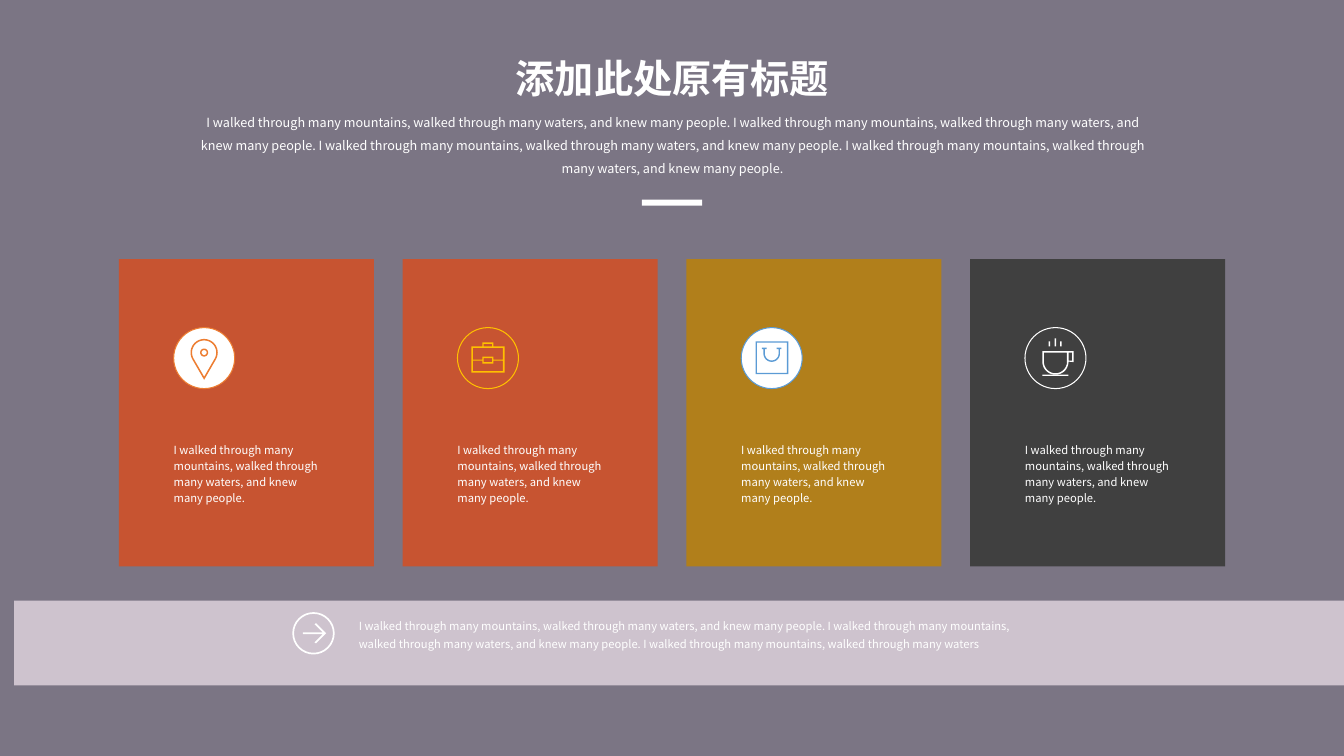
from math import cos, radians, sin

from pptx import Presentation
from pptx.dml.color import RGBColor
from pptx.enum.shapes import MSO_SHAPE
from pptx.enum.text import MSO_ANCHOR, PP_ALIGN
from pptx.util import Inches, Pt

# The slide is a grid of square cells; every length below counts cells
CELL = Inches(0.1)
COLUMNS, ROWS = 133.33, 75
FONT = "Noto Sans CJK SC"
WHITE = "FFFFFF"

SENTENCE = ("I walked through many mountains, walked through many waters, "
            "and knew many people.")
INTRO = " ".join([SENTENCE] * 4)
FOOTER = " ".join([SENTENCE] * 3).removesuffix(", and knew many people.")

CARD_LEFT, CARD_TOP, CARD_PITCH = 11.8, 25.7, 28.15
CARD_WIDTH, CARD_HEIGHT = 25.3, 30.5
CARD_PADDING = 5.43
BADGE_TOP, BADGE_SIZE = 32.5, 6.05


def cells(count):
    return round(count * CELL)


def color(code):
    return RGBColor.from_string(code)


def paint(shape, fill, line=None):
    shape.shadow.inherit = False
    if fill:
        shape.fill.solid()
        shape.fill.fore_color.rgb = color(fill)
    else:
        shape.fill.background()
    if line:
        shape.line.color.rgb = color(line)
        shape.line.width = Pt(0.75)
    else:
        shape.line.fill.background()


def add_block(slide, left, top, width, height, fill, line=None,
              kind=MSO_SHAPE.RECTANGLE):
    shape = slide.shapes.add_shape(
        kind, cells(left), cells(top), cells(width), cells(height))
    paint(shape, fill, line)


def add_text(slide, text, left, top, width, height, size, spacing,
             align=PP_ALIGN.LEFT, anchor=MSO_ANCHOR.TOP, inset=True,
             bold=False):
    box = slide.shapes.add_textbox(
        cells(left), cells(top), cells(width), cells(height))
    frame = box.text_frame
    frame.word_wrap = True
    frame.vertical_anchor = anchor
    if not inset:
        frame.margin_left = frame.margin_right = 0
        frame.margin_top = frame.margin_bottom = 0
    paragraph = frame.paragraphs[0]
    paragraph.alignment = align
    paragraph.line_spacing = spacing
    run = paragraph.add_run()
    run.text = text
    run.font.name = FONT
    run.font.size = Pt(size)
    run.font.bold = bold
    run.font.color.rgb = color(WHITE)
    # East Asian glyphs need their own typeface entry
    latin = run.font._element.find("{*}latin")
    east_asian = latin.makeelement(latin.tag.replace("latin", "ea"),
                                   {"typeface": FONT})
    latin.addnext(east_asian)


# Outlines: lists of points around an icon's centre
def arc(x, y, radius, start, end, steps=32):
    angles = [radians(start + (end - start) * step / steps)
              for step in range(steps + 1)]
    return [(x + radius * cos(angle), y + radius * sin(angle))
            for angle in angles]


def box(left, top, right, bottom):
    return [(left, top), (right, top), (right, bottom), (left, bottom)]


def mirrored(half):
    return half + [(-x, y) for x, y in reversed(half)]


def add_outline(slide, x, y, contours, fill):
    """Fill the contours; a contour inside another one is a hole."""
    placed = [[(cells(x + dx), cells(y + dy)) for dx, dy in contour]
              for contour in contours]
    builder = slide.shapes.build_freeform(*placed[0][0])
    builder.add_line_segments(placed[0][1:], close=True)
    for contour in placed[1:]:
        builder.move_to(*contour[0])
        builder.add_line_segments(contour[1:], close=True)
    paint(builder.convert_to_shape(), fill)


# Icons
def add_pin(slide, x, y, fill):
    def drop(radius):
        return arc(0, -0.55, radius, 150, 390) + [(0, 2 * radius - 0.55)]

    dot = [arc(0, -0.55, radius, 0, 360) for radius in (0.4, 0.25)]
    add_outline(slide, x, y, [drop(1.35), drop(1.2), *dot], fill)


def add_briefcase(slide, x, y, fill):
    body = mirrored([(0.55, -1.55), (0.55, -1.15), (1.65, -1.15), (1.65, 1.45)])
    upper = mirrored([(1.5, -1), (1.5, 0.15), (0.55, 0.15), (0.55, -0.15)])
    lower = mirrored([(0.55, 0.55), (0.55, 0.25), (1.5, 0.25), (1.5, 1.3)])
    handle = box(-0.42, -1.4, 0.42, -1.15)
    clasp = box(-0.42, 0, 0.42, 0.4)
    add_outline(slide, x, y, [body, upper, lower, handle, clasp], fill)


def add_bag(slide, x, y, fill):
    add_outline(slide, x, y, [box(-1.6, -1.65, 1.65, 1.6),
                              box(-1.47, -1.52, 1.52, 1.47)], fill)
    strap = mirrored(arc(0, -0.45, 0.82, 90, 0)
                     + [(0.82, -0.9), (0.97, -0.9), (0.97, -1.05),
                        (0.5, -1.05), (0.5, -0.9), (0.68, -0.9)]
                     + arc(0, -0.45, 0.68, 0, 90))
    add_outline(slide, x, y, [strap], fill)


def add_cup(slide, x, y, fill):
    cup = box(-1.3, -0.7, 1.8, 0.4)[:3] + arc(0, 0.35, 1.3, 0, 180)
    inside = [(-1.15, -0.55), (1.15, -0.55)] + arc(0, 0.35, 1.15, 0, 180)
    ear = box(1.3, -0.55, 1.65, 0.25)
    add_outline(slide, x, y, [cup, inside, ear], fill)
    add_block(slide, x - 1.3, y + 1.65, 2.6, 0.13, fill)
    for offset, height in ((-0.6, 0.5), (0, 0.8), (0.55, 0.5)):
        add_block(slide, x + offset - 0.07, y - 1.15 - height, 0.14, height,
                  fill)


def add_arrow_badge(slide, x, y, fill):
    add_outline(slide, x, y, [arc(0, 0, radius, 0, 360)
                              for radius in (2.1, 1.93)], fill)
    add_outline(slide, x, y, [[
        (0.1, 0.9), (0.25, 1), (1.25, 0), (0.25, -1), (0.1, -0.9),
        (0.93, -0.08), (-1.05, -0.08), (-1.05, 0.08), (0.93, 0.08)]], fill)


def add_card(slide, index, fill, badge_fill, accent, add_icon):
    left = CARD_LEFT + index * CARD_PITCH
    inner = left + CARD_PADDING
    add_block(slide, left, CARD_TOP, CARD_WIDTH, CARD_HEIGHT, fill)
    add_block(slide, inner, BADGE_TOP, BADGE_SIZE, BADGE_SIZE, badge_fill,
              accent, MSO_SHAPE.OVAL)
    add_icon(slide, inner + BADGE_SIZE / 2, BADGE_TOP + BADGE_SIZE / 2, accent)
    add_text(slide, SENTENCE, inner, 44.3, 14.4, 5.2, 8, 1.2,
             anchor=MSO_ANCHOR.MIDDLE, inset=False)


def main():
    presentation = Presentation()
    presentation.slide_width = cells(COLUMNS)
    presentation.slide_height = cells(ROWS)
    slide = presentation.slides.add_slide(presentation.slide_layouts[6])
    slide.background.fill.solid()
    slide.background.fill.fore_color.rgb = color("7B7584")

    # Heading
    add_text(slide, "添加此处原有标题", 9.2, 5.4, 115, 5.5, 28, 0.9,
             PP_ALIGN.CENTER, bold=True)
    add_text(slide, INTRO, 18.9, 10.2, 95.6, 9.7, 9, 1.5, PP_ALIGN.CENTER)
    add_block(slide, 63.67, 19.8, 6, 0.6, WHITE)

    # Footer band
    add_block(slide, 1.4, 59.6, 133.4, 8.4, "CEC3CE")

    # Cards: fill, badge fill, accent, icon
    cards = [
        ("C75431", WHITE, "ED7D31", add_pin),
        ("C75431", None, "FFC000", add_briefcase),
        ("B17F1B", WHITE, "5B9BD5", add_bag),
        ("404040", None, WHITE, add_cup),
    ]
    for index, card in enumerate(cards):
        add_card(slide, index, *card)

    # Footer content
    add_text(slide, FOOTER, 35.6, 60.9, 68.6, 3.8, 8, 1.3,
             anchor=MSO_ANCHOR.MIDDLE, inset=False)
    add_arrow_badge(slide, 31.1, 62.83, WHITE)

    presentation.save("out.pptx")


if __name__ == "__main__":
    main()
